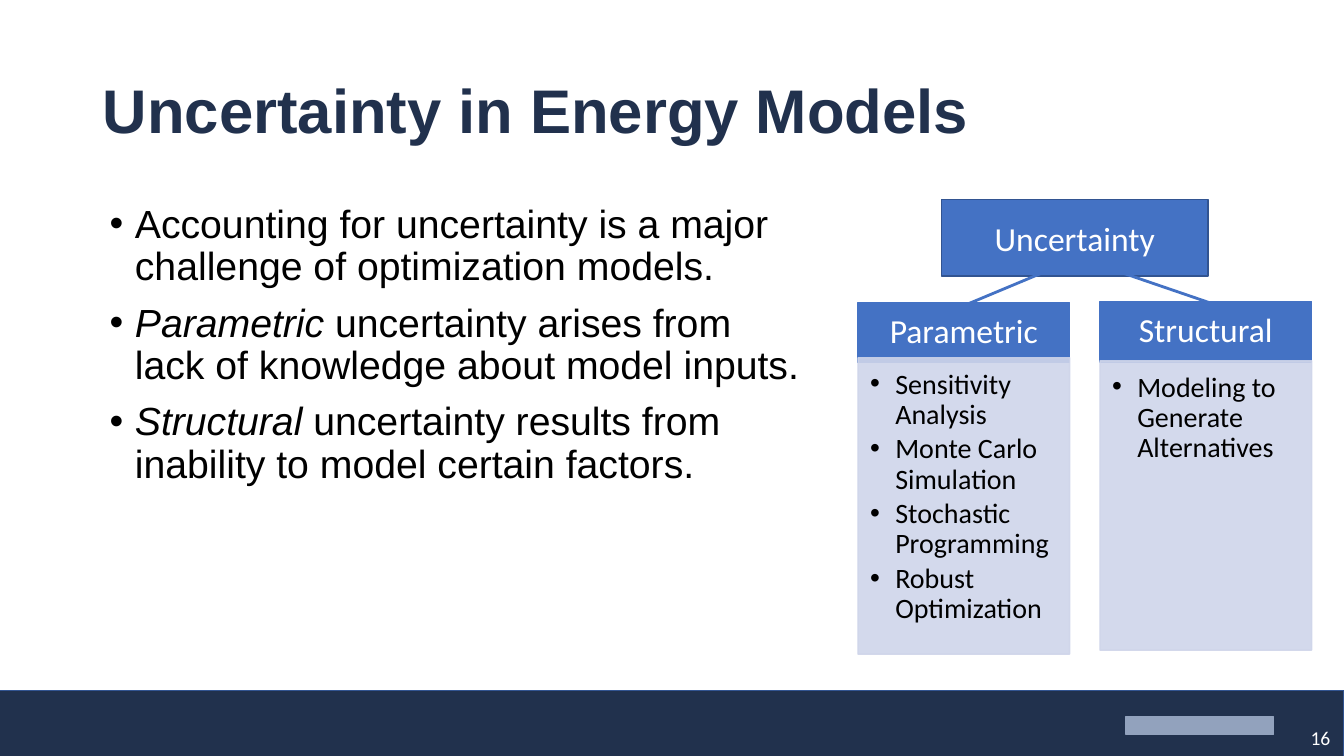
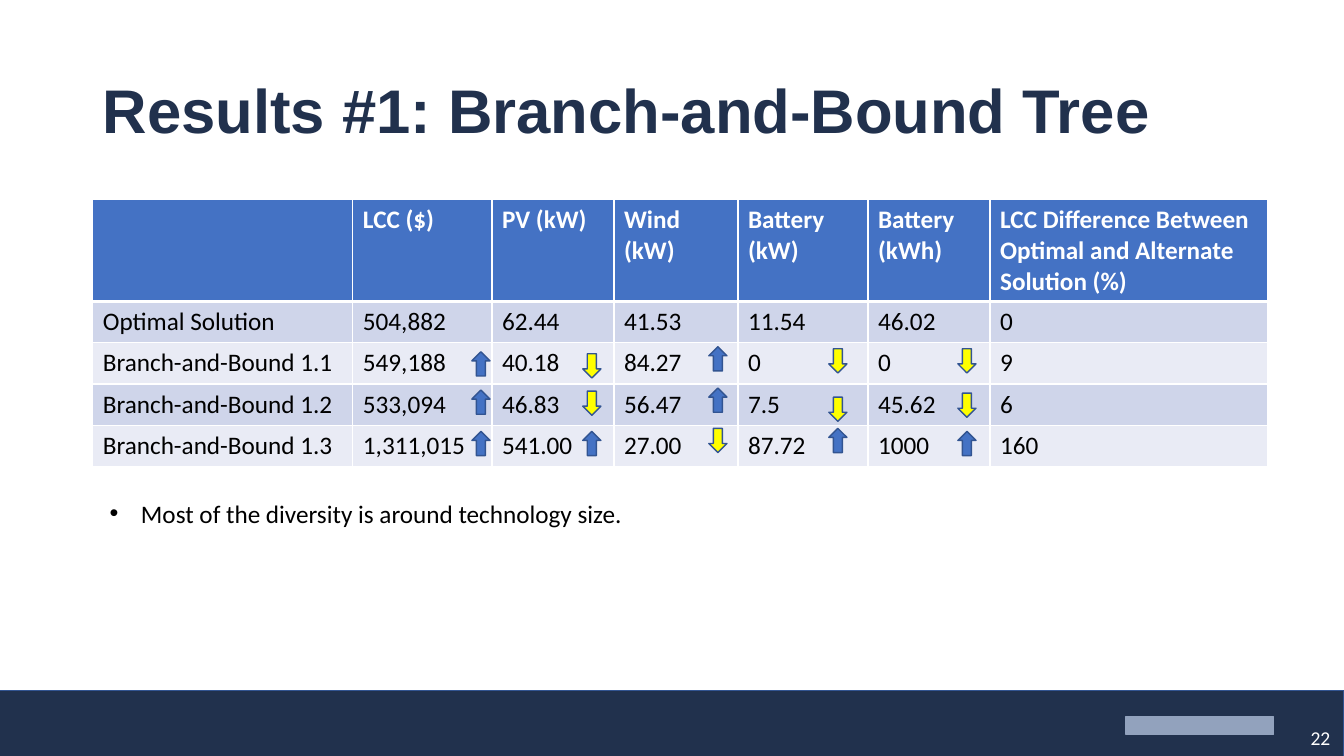
"""Build two slides on uncertainty in energy models."""
from lxml.etree import SubElement
from pptx import Presentation
from pptx.dml.color import RGBColor
from pptx.enum.shapes import MSO_CONNECTOR as Connector, MSO_SHAPE as Shape
from pptx.enum.text import MSO_ANCHOR as Anchor, PP_ALIGN as Align
from pptx.oxml import parse_xml
from pptx.oxml.ns import nsdecls, qn
from pptx.util import Inches, Pt

COLORS = {
    "navy": "21314D", "blue": "4472C4", "outline": "325491", "pale": "CFD5EA",
    "light": "E9EBF5", "yellow": "FFFF00", "steel": "92A2BD",
    "white": "FFFFFF", "black": "000000",
}

POINTS = [
    ("", "Accounting for uncertainty is a major challenge of optimization models."),
    ("Parametric", " uncertainty arises from lack of knowledge about model inputs."),
    ("Structural ", "uncertainty results from inability to model certain factors."),
]
BRANCHES = [
    {"name": "Parametric", "left": 8.51, "top": 3, "body_top": 3.55, "body_height": 2.94,
     "methods": ["Sensitivity Analysis", "Monte Carlo Simulation",
                 "Stochastic Programming", "Robust Optimization"]},
    {"name": "Structural", "left": 10.91, "top": 2.99, "body_top": 3.58, "body_height": 2.87,
     "methods": ["Modeling to Generate Alternatives"]},
]
BRANCH_LINES = [(9.47, 3.07, 10.45, 2.66), (11.14, 2.71, 12.25, 3.09)]

RESULTS = [
    ["", "LCC ($)", "PV (kW)", "Wind (kW)", "Battery (kW)", "Battery (kWh)",
     "LCC Difference Between Optimal and Alternate Solution (%)"],
    ["Optimal Solution", "504,882", "62.44", "41.53", "11.54", "46.02", "0"],
    ["Branch-and-Bound 1.1", "549,188", "40.18", "84.27", "0", "0", "9"],
    ["Branch-and-Bound 1.2", "533,094", "46.83", "56.47", "7.5", "45.62", "6"],
    ["Branch-and-Bound 1.3", "1,311,015", "541.00", "27.00", "87.72", "1000", "160"],
]
COLUMN_WIDTHS = [2.58, 1.38, 1.21, 1.23, 1.29, 1.21, 2.75]
ROW_HEIGHTS = [1.01, 0.41, 0.41, 0.41, 0.41]
TRENDS = [
    (4.68, [("up", 3.49), ("up", 3.87), ("up", 4.28)]),
    (5.78, [("down", 3.51), ("down", 3.88), ("up", 4.28)]),
    (7.03, [("up", 3.44), ("up", 3.85), ("down", 4.25)]),
    (8.22, [("down", 3.46), ("down", 3.94), ("up", 4.25)]),
    (9.5, [("down", 3.46), ("down", 3.9), ("up", 4.28)]),
]
ARROWS = {"up": (Shape.UP_ARROW, "blue"), "down": (Shape.DOWN_ARROW, "yellow")}
TAKEAWAY = "Most of the diversity is around technology size."


def rgb(name):
    return RGBColor.from_string(COLORS[name])


def style(font, size, color, name="Calibri", bold=False):
    font.size, font.name, font.bold = Pt(size), name, bold
    font.color.rgb = rgb(color)


def add_bullet(para, indent):
    props = para._p.get_or_add_pPr()
    props.set("marL", str(Inches(indent)))
    props.set("indent", str(-Inches(indent)))
    SubElement(props, qn("a:buFont")).set("typeface", "Arial")
    SubElement(props, qn("a:buChar")).set("char", "•")


def add_box(page, left, top, width, height, anchor=Anchor.TOP):
    box = page.shapes.add_textbox(Inches(left), Inches(top), Inches(width), Inches(height))
    box.text_frame.word_wrap = True
    box.text_frame.vertical_anchor = anchor
    return box


def add_block(page, left, top, width, height, fill, line, kind=Shape.RECTANGLE):
    block = page.shapes.add_shape(kind, Inches(left), Inches(top), Inches(width), Inches(height))
    block.shadow.inherit = False
    block.fill.solid()
    block.fill.fore_color.rgb = rgb(fill)
    block.line.color.rgb = rgb(line)
    block.line.width = Pt(1)
    return block


def set_margins(frame, left, top, right, bottom):
    frame.margin_left, frame.margin_top = Inches(left), Inches(top)
    frame.margin_right, frame.margin_bottom = Inches(right), Inches(bottom)


def label(block, text):
    block.text_frame.text = text
    para = block.text_frame.paragraphs[0]
    para.alignment = Align.CENTER
    style(para.runs[0].font, 24, "white")


def add_page(deck, title, number):
    page = deck.slides.add_slide(deck.slide_layouts[6])
    add_block(page, -0.01, 6.85, 13.34, 0.66, "navy", "outline")
    add_block(page, 11.17, 7.11, 1.46, 0.18, "steel", "steel")
    para = add_box(page, 0.92, 0.4, 11.5, 1.45, Anchor.MIDDLE).text_frame.paragraphs[0]
    para.text = title
    para.line_spacing = 0.9
    style(para.runs[0].font, 44, "navy", "Arial", True)
    frame = add_box(page, 12.9, 7.15, 0.43, 0.3).text_frame
    set_margins(frame, 0.1, 0.05, 0, 0.05)
    frame.text = number
    style(frame.paragraphs[0].runs[0].font, 14, "white")
    return page


def add_points(page):
    frame = add_box(page, 0.99, 1.98, 7.04, 3.77).text_frame
    for index, (term, rest) in enumerate(POINTS):
        para = frame.add_paragraph() if index else frame.paragraphs[0]
        add_bullet(para, 0.25)
        para.line_spacing = 0.9
        if index:
            para.space_before = Pt(10)
        for text, italic in ((term, True), (rest, False)):
            if text:
                span = para.add_run()
                span.text = text
                style(span.font, 28, "black", "Arial")
                span.font.italic = italic


def add_branch(page, branch):
    head = add_block(page, branch["left"], branch["top"], 2.1, 0.6, "blue", "blue")
    label(head, branch["name"])
    head.text_frame.paragraphs[0].line_spacing = 0.9
    body = add_block(page, branch["left"], branch["body_top"], 2.1, branch["body_height"],
                     "pale", "pale")
    for color in body._element.spPr.iter(qn("a:srgbClr")):
        SubElement(color, qn("a:alpha")).set("val", "90000")
    frame = body.text_frame
    frame.vertical_anchor = Anchor.TOP
    set_margins(frame, 0.12, 0.12, 0.16, 0.17)
    frame.text = "\n".join(branch["methods"])
    for para in frame.paragraphs:
        add_bullet(para, 0.25)
        para.alignment = Align.LEFT
        para.line_spacing = 0.9
        para.space_after = Pt(3)
        style(para.runs[0].font, 20, "black")


def add_uncertainty_tree(page):
    for branch in BRANCHES:
        add_branch(page, branch)
    label(add_block(page, 9.34, 1.98, 2.64, 0.76, "blue", "outline"), "Uncertainty")
    for ends in BRANCH_LINES:
        line = page.shapes.add_connector(Connector.STRAIGHT, *map(Inches, ends))
        line.line.color.rgb = rgb("blue")
        line.line.width = Pt(2)
        SubElement(line._element.spPr, qn("a:effectLst"))


def set_borders(cell, top, bottom):
    props = cell._tc.get_or_add_tcPr()
    for index, (side, width) in enumerate((("L", 1), ("R", 1), ("T", top), ("B", bottom))):
        props.insert(index, parse_xml(
            f'<a:ln{side} {nsdecls("a")} w="{Pt(width)}"><a:solidFill>'
            f'<a:srgbClr val="{COLORS["white"]}"/></a:solidFill></a:ln{side}>'))


def add_results(page):
    table = page.shapes.add_table(
        len(RESULTS), len(COLUMN_WIDTHS), Inches(0.92), Inches(1.98),
        Inches(sum(COLUMN_WIDTHS)), Inches(sum(ROW_HEIGHTS))).table
    for column, width in zip(table.columns, COLUMN_WIDTHS):
        column.width = Inches(width)
    for row, height in zip(table.rows, ROW_HEIGHTS):
        row.height = Inches(height)
    for row_index, values in enumerate(RESULTS):
        header = row_index == 0
        fill = "blue" if header else ("light", "pale")[row_index % 2]
        for column_index, value in enumerate(values):
            cell = table.cell(row_index, column_index)
            cell.text = value
            cell.fill.solid()
            cell.fill.fore_color.rgb = rgb(fill)
            set_borders(cell, 3 if row_index == 1 else 1, 3 if header else 1)
            for span in cell.text_frame.paragraphs[0].runs:
                style(span.font, 18, "white" if header else "black", bold=header)


def add_trends(page):
    for left, marks in TRENDS:
        for direction, top in marks:
            kind, fill = ARROWS[direction]
            add_block(page, left, top, 0.18, 0.24, fill, "outline", kind)


def add_takeaway(page):
    para = add_box(page, 0.99, 4.89, 11.07, 0.4).text_frame.paragraphs[0]
    para.text = TAKEAWAY
    add_bullet(para, 0.31)
    style(para.runs[0].font, 18, "black")


def main():
    deck = Presentation()
    deck.slide_width, deck.slide_height = Inches(13.33), Inches(7.5)
    page = add_page(deck, "Uncertainty in Energy Models", "16")
    add_points(page)
    add_uncertainty_tree(page)
    page = add_page(deck, "Results #1: Branch-and-Bound Tree", "22")
    add_results(page)
    add_takeaway(page)
    add_trends(page)
    deck.save("out.pptx")


if __name__ == "__main__":
    main()
